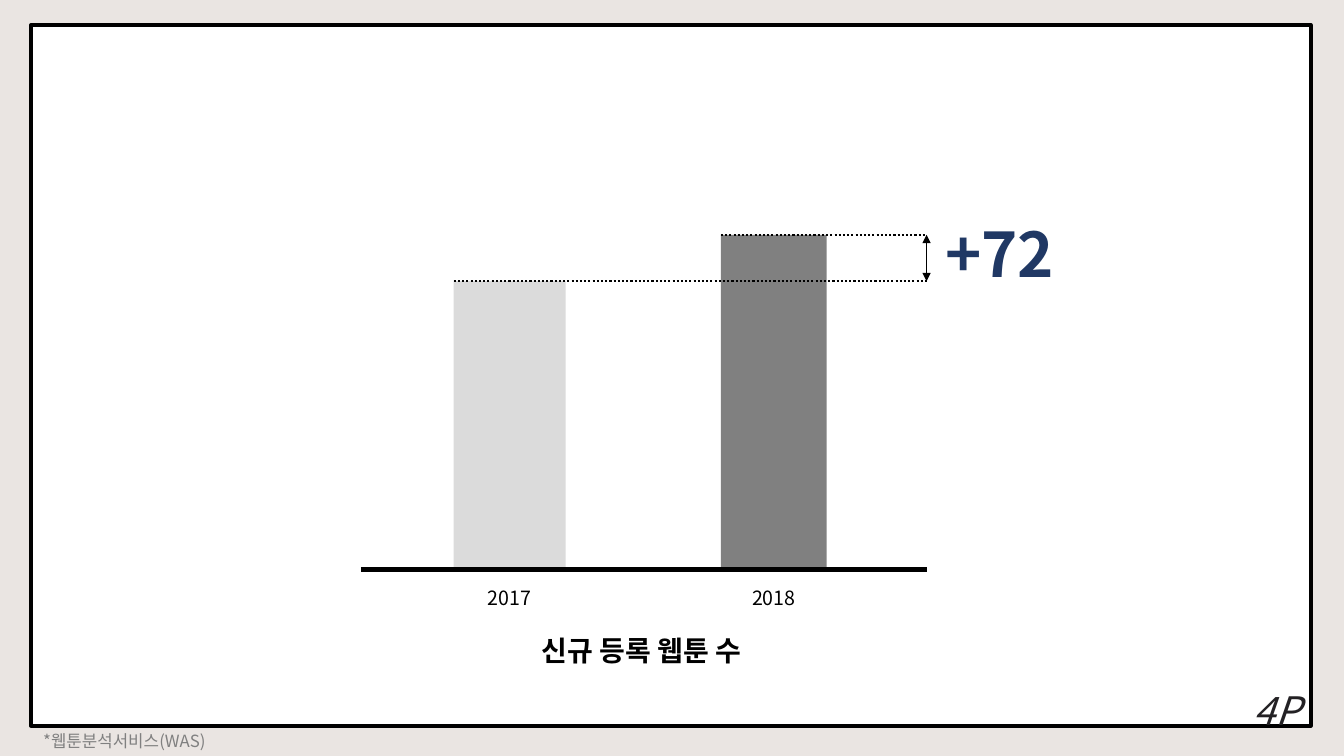
from pptx import Presentation
from pptx.dml.color import RGBColor
from pptx.enum.dml import MSO_LINE_DASH_STYLE as Dash
from pptx.enum.shapes import MSO_CONNECTOR_TYPE as Connector, MSO_SHAPE as Shape
from pptx.enum.text import MSO_ANCHOR as Anchor, PP_ALIGN as Align
from pptx.oxml.ns import qn
from pptx.util import Pt
from lxml.etree import SubElement

SCALE = 9144
FONT = "Noto Sans CJK KR"
BLACK = "000000"


def px(length):
    return length * SCALE


def paint(color, value):
    color.rgb = RGBColor.from_string(value)


def fill_with(fill, value):
    fill.solid()
    paint(fill.fore_color, value)


def write(shape, text, size, value, align=Align.CENTER, anchor=Anchor.TOP, **styles):
    frame = shape.text_frame
    frame.word_wrap = True
    frame.vertical_anchor = anchor
    para = frame.paragraphs[0]
    para.alignment = align
    span = para.add_run()
    span.text = text
    formats = {"size": Pt(size), "name": FONT, **styles}
    for name, setting in formats.items():
        setattr(span.font, name, setting)
    paint(span.font.color, value)
    properties = span.font._element
    SubElement(properties, qn("a:ea")).set("typeface", FONT)


def add_text(page, box, text, size, value, **styles):
    shape = page.shapes.add_textbox(*map(px, box))
    write(shape, text, size, value, **styles)


def add_block(page, box, value):
    block = page.shapes.add_shape(Shape.RECTANGLE, *map(px, box))
    block.shadow.inherit = False
    fill_with(block.fill, value)
    block.line.fill.background()
    return block


def add_line(page, start, end, width, dash=None, arrows=()):
    line = page.shapes.add_connector(Connector.STRAIGHT, *map(px, (*start, *end)))
    line.line.width = Pt(width)
    paint(line.line.color, BLACK)
    if dash:
        line.line.dash_style = dash
    outline = line.line._get_or_add_ln()
    for arrow in arrows:
        SubElement(outline, qn(arrow)).set("type", "triangle")
    SubElement(line._element.spPr, qn("a:effectLst"))


def add_frame(page, box):
    left, top, width, height = box
    panel = add_block(page, box, "FFFFFF")
    panel.line.width = Pt(3)
    paint(panel.line.color, BLACK)
    add_text(page, (left + width - 75, top + height - 44, 83, 57), "4P", 28,
             "232124", italic=True)
    add_text(page, (left + 2, top + height, 545, 30), "*웹툰분석서비스(WAS)", 12,
             "808080", align=Align.LEFT)


def add_bars(page, box):
    left, top, width, height = box
    right, base = left + width, top + height
    bars = [("2017", 92, 111, 286, "DBDBDB"), ("2018", 357, 105, height, "808080")]
    for year, offset, bar_width, bar_height, value in bars:
        bar_left = left + offset
        add_block(page, (bar_left, base - bar_height, bar_width, bar_height), value)
        add_text(page, (bar_left + bar_width // 2 - 82, base + 11, 165, 39),
                 year, 14, BLACK)
    add_line(page, (left, base), (right, base), 3)
    for year, offset, bar_width, bar_height, value in bars:
        level = base - bar_height
        add_line(page, (left + offset, level), (right, level), 1.5, Dash.ROUND_DOT)
    add_line(page, (right, top), (right, base - bars[0][3]), 0.5,
             arrows=("a:headEnd", "a:tailEnd"))
    add_text(page, (right - 38, top - 24, 221, 95), "+72", 44, "203864", bold=True)


def add_title(page, box):
    title = page.shapes.title
    title.left, title.top, title.width, title.height = map(px, box)
    write(title, "신규 등록 웹툰 수", 20, BLACK, anchor=Anchor.MIDDLE, bold=True)


def main():
    deck = Presentation()
    deck.slide_width, deck.slide_height = px(1333), px(750)
    page = deck.slides.add_slide(deck.slide_layouts.get_by_name("Title Only"))
    fill_with(page.background.fill, "EAE5E2")
    add_frame(page, (31, 25, 1269, 695))
    add_bars(page, (358, 233, 561, 332))
    add_title(page, (471, 623, 330, 44))
    tree = page.shapes._spTree
    tree.append(page.shapes.title._element)
    deck.save("out.pptx")


if __name__ == "__main__":
    main()
